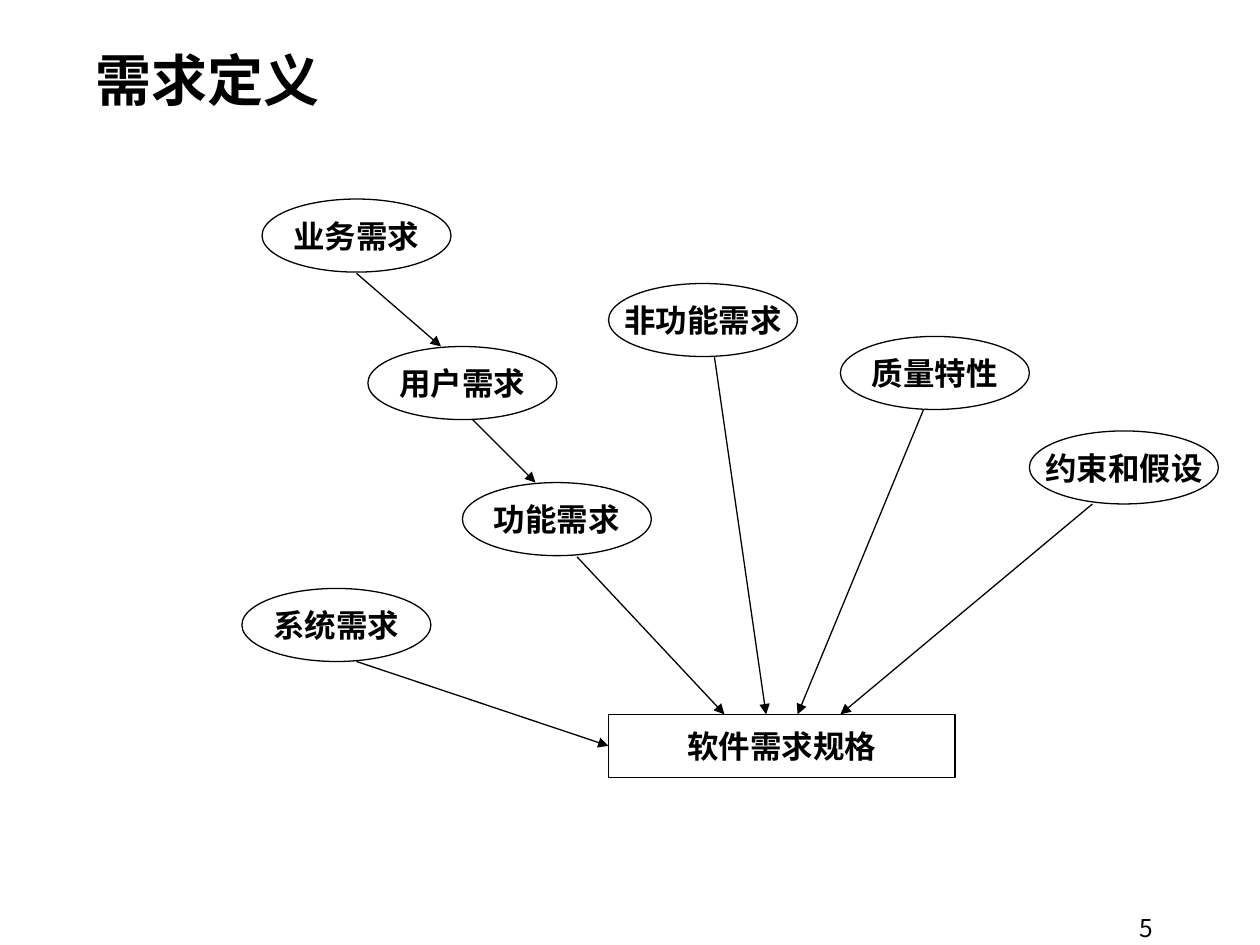
from typing import NamedTuple

from lxml.etree import SubElement
from pptx import Presentation
from pptx.dml.color import RGBColor
from pptx.enum.shapes import MSO_CONNECTOR, MSO_SHAPE
from pptx.enum.text import MSO_ANCHOR, PP_ALIGN
from pptx.oxml.ns import qn
from pptx.util import Inches, Pt

BLACK = RGBColor(0x00, 0x00, 0x00)
LINE_WIDTH = Pt(0.75)
OVAL_WIDTH, OVAL_HEIGHT = 1.5, 0.58


class Requirement(NamedTuple):
    label: str
    left: float
    top: float


class Arrow(NamedTuple):
    start: tuple[float, float]
    end: tuple[float, float]


REQUIREMENTS = [
    Requirement("业务需求", 2.08, 1.58),
    Requirement("用户需求", 2.92, 2.75),
    Requirement("功能需求", 3.67, 3.83),
    Requirement("系统需求", 1.92, 4.67),
    Requirement("非功能需求", 4.83, 2.25),
    Requirement("质量特性", 6.67, 2.67),
    Requirement("约束和假设", 8.17, 3.42),
]

ARROWS = [
    # Business to user to functional requirements
    Arrow((2.83, 2.17), (3.5, 2.75)),
    Arrow((3.75, 3.33), (4.25, 3.83)),
    # Everything that feeds the specification
    Arrow((4.58, 4.42), (5.75, 5.67)),
    Arrow((5.67, 2.83), (6.08, 5.67)),
    Arrow((7.33, 3.25), (6.33, 5.67)),
    Arrow((8.67, 4), (6.67, 5.67)),
    Arrow((2.83, 5.25), (4.83, 5.92)),
]


def write_text(shape, text: str, *, size: float = 18, font: str = "Arial",
               bold: bool = True, align: PP_ALIGN = PP_ALIGN.CENTER,
               wrap: bool = False) -> None:
    frame = shape.text_frame
    frame.word_wrap = wrap
    frame.vertical_anchor = MSO_ANCHOR.MIDDLE
    paragraph = frame.paragraphs[0]
    paragraph.alignment = align
    run = paragraph.add_run()
    run.text = text
    run.font.name = font
    run.font.size = Pt(size)
    run.font.bold = bold
    run.font.color.rgb = BLACK


def add_node(slide, kind: MSO_SHAPE, label: str, left: float, top: float,
             width: float, height: float) -> None:
    node = slide.shapes.add_shape(
        kind, Inches(left), Inches(top), Inches(width), Inches(height))
    node.shadow.inherit = False
    node.fill.background()
    node.line.color.rgb = BLACK
    node.line.width = LINE_WIDTH
    write_text(node, label)


def add_arrow(slide, arrow: Arrow) -> None:
    connector = slide.shapes.add_connector(
        MSO_CONNECTOR.STRAIGHT, *map(Inches, arrow.start + arrow.end))
    connector.line.color.rgb = BLACK
    connector.line.width = LINE_WIDTH
    SubElement(connector.line._get_or_add_ln(), qn("a:tailEnd"), type="triangle")
    SubElement(connector._element.spPr, qn("a:effectLst"))


def main() -> None:
    presentation = Presentation()
    presentation.slide_width = Inches(10)
    presentation.slide_height = Inches(7.5)
    slide = presentation.slides.add_slide(presentation.slide_layouts[6])

    # Title and page number
    title = slide.shapes.add_textbox(
        Inches(0.66), Inches(0), Inches(9.34), Inches(1.25))
    write_text(title, "需求定义", size=32, align=PP_ALIGN.LEFT, wrap=True)
    page_number = slide.shapes.add_textbox(
        Inches(7.17), Inches(7.22), Inches(2.08), Inches(0.28))
    write_text(page_number, "5", size=14, font="Noto Sans CJK KR", bold=False,
               align=PP_ALIGN.RIGHT, wrap=True)

    # Requirement ovals and the specification they lead to
    for requirement in REQUIREMENTS:
        add_node(slide, MSO_SHAPE.OVAL, *requirement, OVAL_WIDTH, OVAL_HEIGHT)
    add_node(slide, MSO_SHAPE.RECTANGLE, "软件需求规格", 4.83, 5.67, 2.75, 0.5)

    # Arrows
    for arrow in ARROWS:
        add_arrow(slide, arrow)

    presentation.save("out.pptx")


if __name__ == "__main__":
    main()
